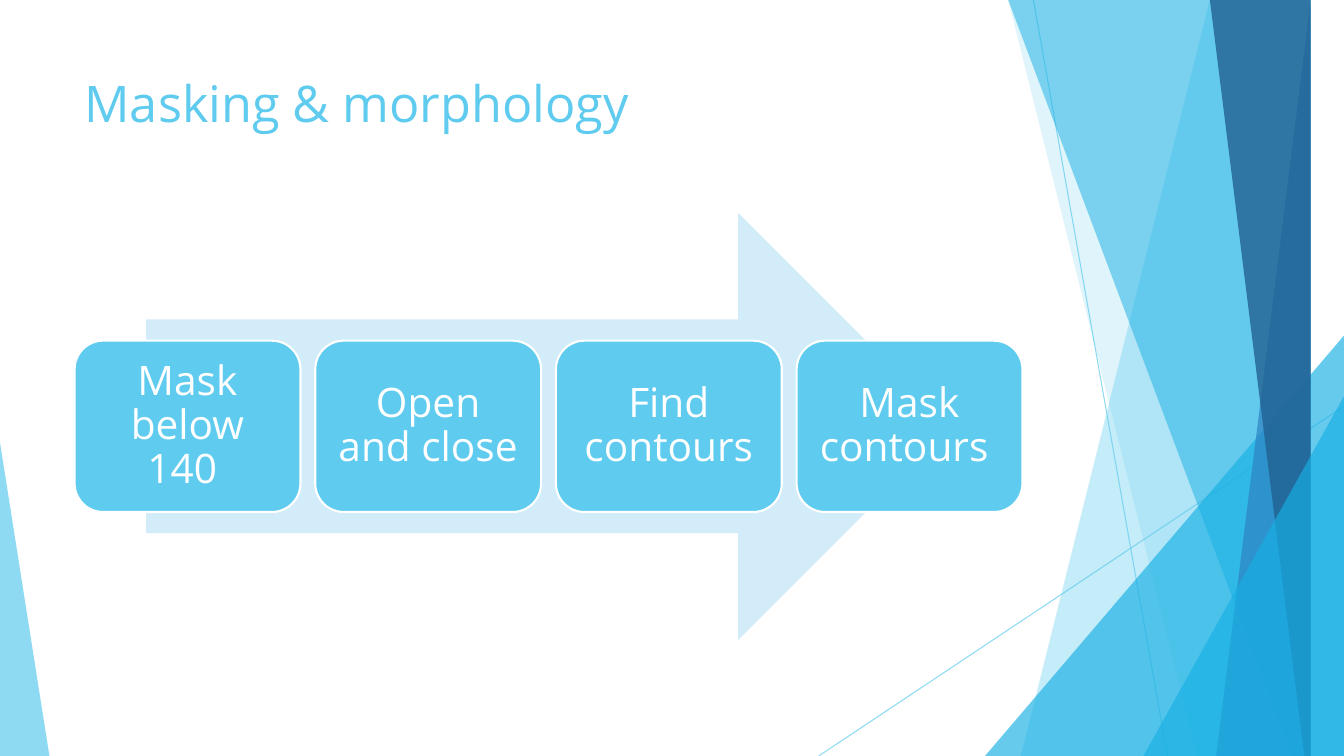
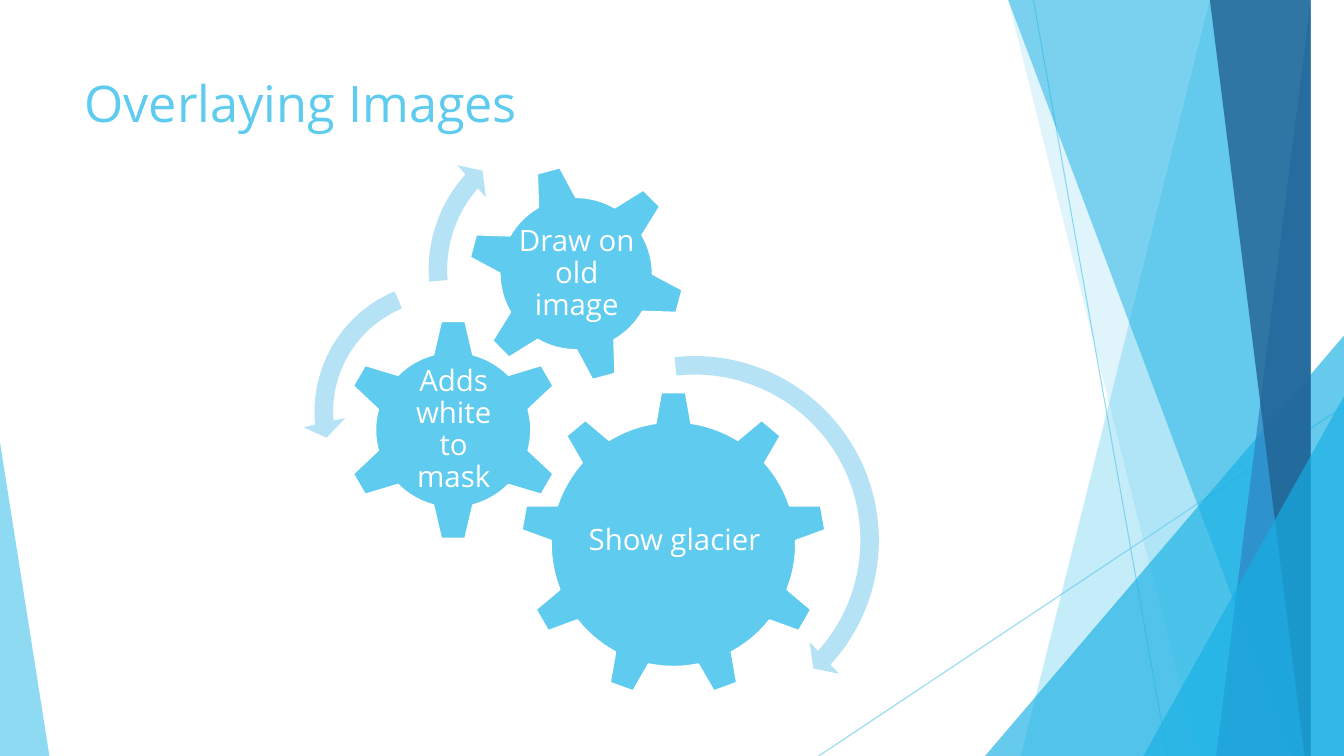
"""Build two slides on image masking and overlaying, framed by blue facets."""
import lxml.etree
import pptx
import pptx.dml.color
import pptx.enum.shapes
import pptx.enum.text
import pptx.oxml.ns
import pptx.util

Inches = pptx.util.Inches
Pt = pptx.util.Pt
PRESET = pptx.enum.shapes.MSO_SHAPE
qn = pptx.oxml.ns.qn

SKY, CYAN, WHITE = "5FCBEF", "17B0E4", "FFFFFF"
FONT = "Open Sans"
WIDTH, HEIGHT = 13.33, 7.5
CENTERED = {"alignment": pptx.enum.text.PP_ALIGN.CENTER, "line_spacing": 0.9}
MIDDLE = pptx.enum.text.MSO_ANCHOR.MIDDLE
SIDES = ("margin_left", "margin_top", "margin_right", "margin_bottom")
CARD_FRAME = {"vertical_anchor": MIDDLE, **dict.fromkeys(SIDES, Inches(0.12))}
GEAR_FRAME = {"vertical_anchor": MIDDLE, **dict.fromkeys(SIDES, Inches(0.03))}


def paint(fill, color):
    """Give a fill, line fill or font fill one solid colour."""
    fill.solid()
    fill.fore_color.rgb = pptx.dml.color.RGBColor.from_string(color)


def write(frame, text, size, color, frame_format, paragraph_format):
    """Put one formatted paragraph into a text frame."""
    frame.word_wrap = True
    for name, value in frame_format.items():
        setattr(frame, name, value)
    paragraph = frame.paragraphs[0]
    for name, value in paragraph_format.items():
        setattr(paragraph, name, value)
    run = paragraph.add_run()
    run.text = text
    for name, value in {"size": Pt(size), "name": FONT}.items():
        setattr(run.font, name, value)
    paint(run.font.fill, color)


deck = pptx.Presentation()
deck.slide_width, deck.slide_height = Inches(WIDTH), Inches(HEIGHT)

rays = [(10.25, 0, 11.58, HEIGHT), (WIDTH, 4.03, 8.12, HEIGHT)]
# Facets are shards (top x, bottom x) or triangles (left, top, width, apex).
facets = [
    ((12.28, 10.04), SKY, 36),
    ((10.5, 11.83), SKY, 20),
    ((9.77, 3.33, 3.56, 1), CYAN, 66),
    ((10.21, 12.91), CYAN, 50),
    ((13.03, 11.92), "2E83C3", 70),
    ((11.96, 13.18), "226292", 80),
    ((11.34, 3.93, 1.99, 1), CYAN, 66),
    ((0, 4.39, 0.49, 0), SKY, 70),
]

slides = []
for title in ("Masking & morphology", "Overlaying Images"):
    slide = deck.slides.add_slide(deck.slide_layouts[6])
    slides.append(slide)
    backdrop = []
    for ends in rays:
        ray = slide.shapes.add_connector(
            pptx.enum.shapes.MSO_CONNECTOR.STRAIGHT, *map(Inches, ends))
        paint(ray.line.fill, SKY)
        ray.line.width = Pt(0.75)
        lxml.etree.SubElement(ray.element.spPr, qn("a:effectLst"))
        backdrop.append((ray, 70))
    for outline, color, opacity in facets:
        if len(outline) == 2:
            top_x, bottom_x = outline
            builder = slide.shapes.build_freeform(top_x, -0.01, scale=Inches(1))
            builder.add_line_segments(
                [(WIDTH, -0.01), (WIDTH, HEIGHT), (bottom_x, HEIGHT)], close=True)
            facet = builder.convert_to_shape()
        else:
            left, top, width, apex = outline
            facet = slide.shapes.add_shape(
                PRESET.ISOSCELES_TRIANGLE,
                *map(Inches, (left, top, width, HEIGHT - top)))
            facet.adjustments[0] = apex
        paint(facet.fill, color)
        facet.line.fill.background()
        facet.shadow.inherit = False
        backdrop.append((facet, opacity))
    for part, opacity in backdrop:
        for tint in part.element.spPr.iter(qn("a:srgbClr")):
            lxml.etree.SubElement(tint, qn("a:alpha"), val=str(opacity * 1000))
    heading = slide.shapes.add_textbox(*map(Inches, (0.74, 0.67, 9.4, 1.44)))
    write(heading.text_frame, title, 36, SKY, {}, {})

masking, overlaying = slides

flow = masking.shapes.add_shape(
    PRESET.RIGHT_ARROW, *map(Inches, (1.45, 2.11, 7.99, 4.24)))
paint(flow.fill, "D2ECF9")
flow.line.fill.background()
flow.shadow.inherit = False

steps = ["Mask below 140 ", "Open and close ", "Find contours", "Mask contours "]
for index, step in enumerate(steps):
    card = masking.shapes.add_shape(
        PRESET.ROUNDED_RECTANGLE,
        *map(Inches, (0.74 + 2.387 * index, 3.38, 2.24, 1.7)))
    paint(card.fill, SKY)
    paint(card.line.fill, WHITE)
    card.line.width = Pt(1.5)
    card.shadow.inherit = False
    write(card.text_frame, step, 29, WHITE, CARD_FRAME, CENTERED)

gears = [
    (PRESET.GEAR_9, (5.16, 3.88, 3.04), 0, "Show glacier", (5.78, 4.59, 1.82, 1.56)),
    (PRESET.GEAR_6, (3.39, 3.16, 2.21), 0, "Adds white to mask", (3.95, 3.72, 1.1, 1.09)),
    (PRESET.GEAR_6, (4.63, 1.63, 2.17), 345, "Draw on old image", (5.11, 2.11, 1.22, 1.22)),
]
for preset, (left, top, size), turn, label, label_box in gears:
    gear = overlaying.shapes.add_shape(preset, *map(Inches, (left, top, size, size)))
    gear.rotation = turn
    paint(gear.fill, SKY)
    paint(gear.line.fill, WHITE)
    gear.line.width = Pt(1.5)
    gear.shadow.inherit = False
    caption = overlaying.shapes.add_textbox(*map(Inches, label_box))
    write(caption.text_frame, label, 21, WHITE, GEAR_FRAME, CENTERED)

spins = [
    (PRESET.CIRCULAR_ARROW, (4.94, 3.41, 3.9), (0.047, 2.99, 25.336, 158.243, 0.055)),
    (PRESET.LEFT_CIRCULAR_ARROW, (3, 2.67, 2.83), (0.065, 4.3, 104.891, 148.378, 0.075)),
    (PRESET.CIRCULAR_ARROW, (4.13, 1.15, 3.05), (0.06, 3.941, 133.138, 105.082, 0.07)),
]
for preset, (left, top, size), bends in spins:
    spin = overlaying.shapes.add_shape(preset, *map(Inches, (left, top, size, size)))
    for index, bend in enumerate(bends):
        spin.adjustments[index] = bend
    paint(spin.fill, "B6E2F6")
    spin.line.fill.background()
    spin.shadow.inherit = False

deck.save("out.pptx")
